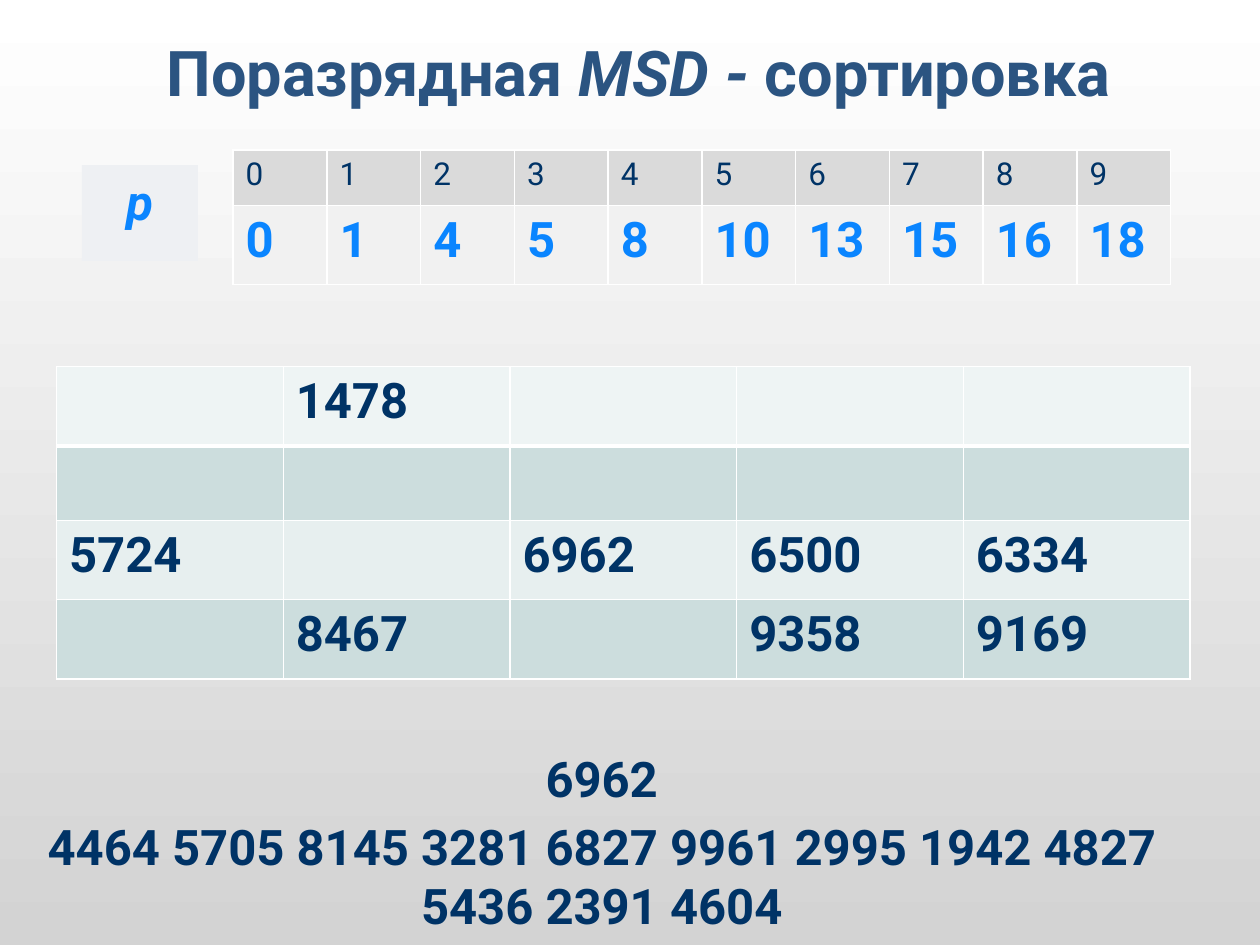
from dataclasses import dataclass

import pptx
import pptx.dml.color
import pptx.enum.shapes
import pptx.enum.text
import pptx.oxml
import pptx.oxml.ns
import pptx.util

Cm = pptx.util.Cm
Pt = pptx.util.Pt
RGB = pptx.dml.color.RGBColor
Align = pptx.enum.text.PP_ALIGN

WHITE = RGB(0xFF, 0xFF, 0xFF)
SILVER = RGB(0xD3, 0xD3, 0xD3)
NAVY = RGB(0x00, 0x33, 0x66)
STEEL = RGB(0x2B, 0x54, 0x81)
BLUE = RGB(0x0A, 0x85, 0xFF)
PALE = RGB(0xEE, 0xF0, 0xF3)
GREY = RGB(0xDA, 0xDA, 0xDA)
LIGHT = RGB(0xF1, 0xF1, 0xF1)
MIST = RGB(0xEE, 0xF4, 0xF4)
TEAL = RGB(0xCC, 0xDD, 0xDD)
FOAM = RGB(0xE7, 0xEF, 0xEF)
FACE = "Roboto"
THIN, THICK = 0.96, 3


@dataclass
class Style:
    size: float
    color: RGB
    bold: bool = True
    italic: bool = False


@dataclass
class Row:
    texts: list[str]
    high: float
    fill: RGB
    style: Style
    top: float = THIN
    base: float = THIN


@dataclass
class Grid:
    left: float
    top: float
    wide: float
    rows: list[Row]


BODY = Style(28, NAVY)
START = Style(28, BLUE)
GRIDS = [
    Grid(1.14, 7.39, 4.57, [
        Row(["", "1478", "", "", ""], 1.6, MIST, BODY, base=THICK),
        Row([""] * 5, 1.5, TEAL, BODY, top=THICK),
        Row(["5724", "", "6962", "6500", "6334"], 1.6, FOAM, BODY),
        Row(["", "8467", "", "9358", "9169"], 1.6, TEAL, BODY),
    ]),
    Grid(4.7, 3.02, 1.89, [
        Row([str(n) for n in range(10)], 1.12, GREY, Style(18, NAVY, False)),
        Row("0 1 4 5 8 10 13 15 16 18".split(), 1.6, LIGHT, START),
    ]),
]


def set_font(para, style: Style) -> None:
    font = para.font
    font.name = FACE
    font.size = Pt(style.size)
    font.bold = style.bold
    font.italic = style.italic
    font.color.rgb = style.color


def add_edges(cell, top: float, base: float) -> None:
    props = cell._tc.get_or_add_tcPr()
    sides = {"L": THIN, "R": THIN, "T": top, "B": base}
    for spot, (side, width) in enumerate(sides.items()):
        props.insert(spot, pptx.oxml.parse_xml(
            f'<a:ln{side} {pptx.oxml.ns.nsdecls("a")} w="{int(Pt(width))}">'
            f'<a:solidFill><a:srgbClr val="{WHITE}"/></a:solidFill>'
            f'</a:ln{side}>'))


def draw_grid(slide, grid: Grid) -> None:
    count = len(grid.rows[0].texts)
    high = sum(row.high for row in grid.rows)
    table = slide.shapes.add_table(
        len(grid.rows), count, Cm(grid.left), Cm(grid.top),
        Cm(grid.wide * count), Cm(high)).table
    table.first_row = table.horz_banding = False
    for col in table.columns:
        col.width = Cm(grid.wide)
    for line, row in zip(table.rows, grid.rows):
        line.height = Cm(row.high)
        for cell, text in zip(line.cells, row.texts):
            cell.fill.solid()
            cell.fill.fore_color.rgb = row.fill
            add_edges(cell, row.top, row.base)
            if text:
                cell.text = text
                set_font(cell.text_frame.paragraphs[0], row.style)


def draw_title(slide) -> None:
    box = slide.shapes.add_textbox(Cm(1.45), Cm(0.81), Cm(22.86), Cm(1.27))
    frame = box.text_frame
    frame.word_wrap = True
    frame.vertical_anchor = pptx.enum.text.MSO_ANCHOR.MIDDLE
    para = frame.paragraphs[0]
    para.alignment = Align.CENTER
    set_font(para, Style(36, STEEL))
    for text, slant in (("Поразрядная ", False), ("MSD - ", True),
                        ("сортировка", False)):
        run = para.add_run()
        run.text = text
        run.font.italic = slant


def draw_label(slide) -> None:
    shape = slide.shapes.add_shape(
        pptx.enum.shapes.MSO_SHAPE.RECTANGLE,
        Cm(1.65), Cm(3.33), Cm(2.34), Cm(1.93))
    shape.shadow.inherit = False
    shape.fill.solid()
    shape.fill.fore_color.rgb = PALE
    shape.line.fill.background()
    frame = shape.text_frame
    frame.vertical_anchor = pptx.enum.text.MSO_ANCHOR.TOP
    para = frame.paragraphs[0]
    para.text = "p"
    para.alignment = Align.CENTER
    set_font(para, Style(28, BLUE, italic=True))


def draw_queue(slide) -> None:
    box = slide.shapes.add_textbox(Cm(0), Cm(14.96), Cm(24.26), Cm(4.01))
    frame = box.text_frame
    frame.word_wrap = True
    frame.text = ("6962\n4464 5705 8145 3281 6827 9961 2995 1942 4827 "
                  "5436 2391 4604")
    for para in frame.paragraphs:
        para.alignment = Align.CENTER
        set_font(para, BODY)
    frame.paragraphs[1].space_before = Pt(5.6)


def main() -> None:
    deck = pptx.Presentation()
    deck.slide_width, deck.slide_height = Cm(25.4), Cm(19.05)
    slide = deck.slides.add_slide(deck.slide_layouts[6])
    fill = slide.background.fill
    fill.gradient()
    fill.gradient_angle = 270
    for stop, color in zip(fill.gradient_stops, (WHITE, SILVER)):
        stop.color.rgb = color
    draw_title(slide)
    draw_label(slide)
    for grid in GRIDS:
        draw_grid(slide, grid)
    draw_queue(slide)
    deck.save("out.pptx")


if __name__ == "__main__":
    main()
